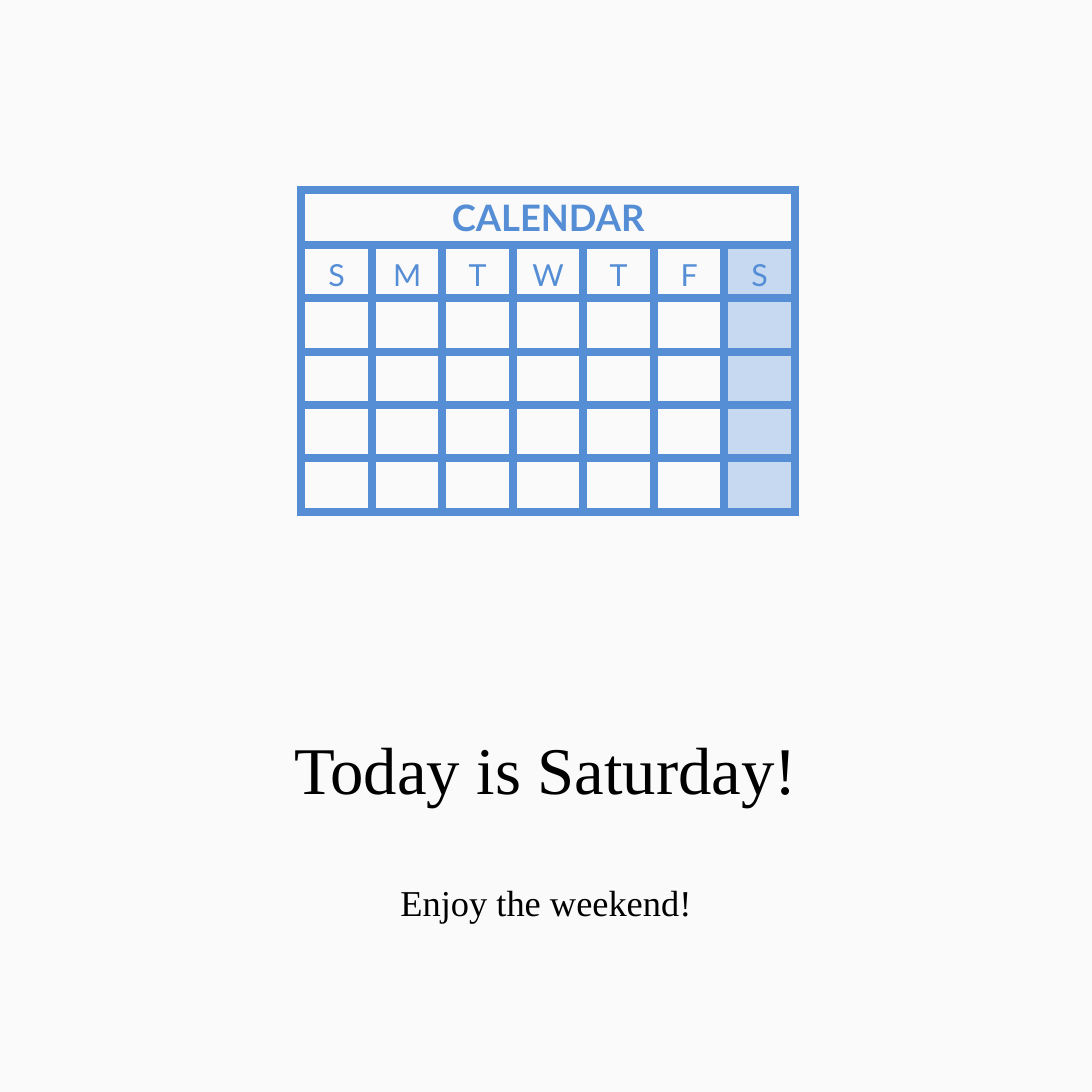
from lxml import etree
from pptx import Presentation
from pptx.dml.color import RGBColor
from pptx.enum.text import MSO_ANCHOR, MSO_AUTO_SIZE, PP_ALIGN
from pptx.oxml.ns import qn
from pptx.util import Cm, Pt

CENTER = PP_ALIGN.CENTER
MIDDLE = MSO_ANCHOR.MIDDLE
BOTTOM = MSO_ANCHOR.BOTTOM
NO_AUTOFIT = MSO_AUTO_SIZE.NONE

BLUE = "558ED5"
PALE_BLUE = "C6D9F1"
BLACK = "000000"
PAGE_COLOR = "FAFAFB"
SERIF = "Times New Roman"
SANS = "Lato"
WEEKDAYS = "SMTWTFS"
WEEKS = 4
BORDER = Pt(6)


def color(hex_string):
    """Return the colour for a hex string."""
    return RGBColor.from_string(hex_string)


def write(frame, text, font_name, size, hex_string, bold=False):
    """Write one centred, formatted paragraph into a text frame."""
    frame.text = text
    para = frame.paragraphs[0]
    para.alignment = CENTER
    para.space_before = Pt(0)
    para.font.name = font_name
    para.font.size = Pt(size)
    para.font.bold = bold
    para.font.color.rgb = color(hex_string)


def add_message(placeholder, box, text, size):
    """Move a placeholder into its box and fill it with a message."""
    placeholder.left, placeholder.top, placeholder.width, placeholder.height = box
    frame = placeholder.text_frame
    write(frame, text, SERIF, size, BLACK)
    frame.auto_size = NO_AUTOFIT
    frame.word_wrap = False
    frame.vertical_anchor = MIDDLE


def add_borders(cell):
    """Draw a solid blue border on all four sides of a cell."""
    properties = cell._tc.get_or_add_tcPr()
    for side in ("lnL", "lnR", "lnT", "lnB"):
        line = etree.SubElement(properties, qn(f"a:{side}"), w=str(BORDER))
        fill = etree.SubElement(line, qn("a:solidFill"))
        etree.SubElement(fill, qn("a:srgbClr"), val=BLUE)


def add_calendar(page, box):
    """Add the calendar table with its Saturday column highlighted."""
    columns, rows = len(WEEKDAYS), WEEKS + 2
    table = page.shapes.add_table(rows, columns, *box).table
    table.first_row = False
    table.horz_banding = False
    for row_index, row in enumerate(table.rows):
        for column_index, cell in enumerate(row.cells):
            add_borders(cell)
            if row_index > 0 and column_index == columns - 1:
                cell.fill.solid()
                cell.fill.fore_color.rgb = color(PALE_BLUE)
            else:
                cell.fill.background()
    heading = table.cell(0, 0)
    heading.merge(table.cell(0, columns - 1))
    heading.vertical_anchor = BOTTOM
    write(heading.text_frame, "CALENDAR", SANS, 24, BLUE, bold=True)
    for column_index, weekday in enumerate(WEEKDAYS):
        cell = table.cell(1, column_index)
        cell.vertical_anchor = BOTTOM
        write(cell.text_frame, weekday, SANS, 20, BLUE)


def main():
    """Build the Saturday slide and save the deck."""
    deck = Presentation()
    deck.slide_width = deck.slide_height = Cm(25.4)
    page = deck.slides.add_slide(deck.slide_layouts[0])
    page.background.fill.solid()
    page.background.fill.fore_color.rgb = color(PAGE_COLOR)
    title, subtitle = page.placeholders
    add_message(title, (Cm(6.1), Cm(16.79), Cm(13.2), Cm(2.14)), "Today is Saturday!", 44)
    add_message(subtitle, (Cm(8.66), Cm(20.35), Cm(8.08), Cm(1.28)), "Enjoy the weekend!", 24)
    add_calendar(page, (Cm(7.01), Cm(4.42), Cm(11.48), Cm(7.46)))
    deck.save("out.pptx")


if __name__ == "__main__":
    main()
